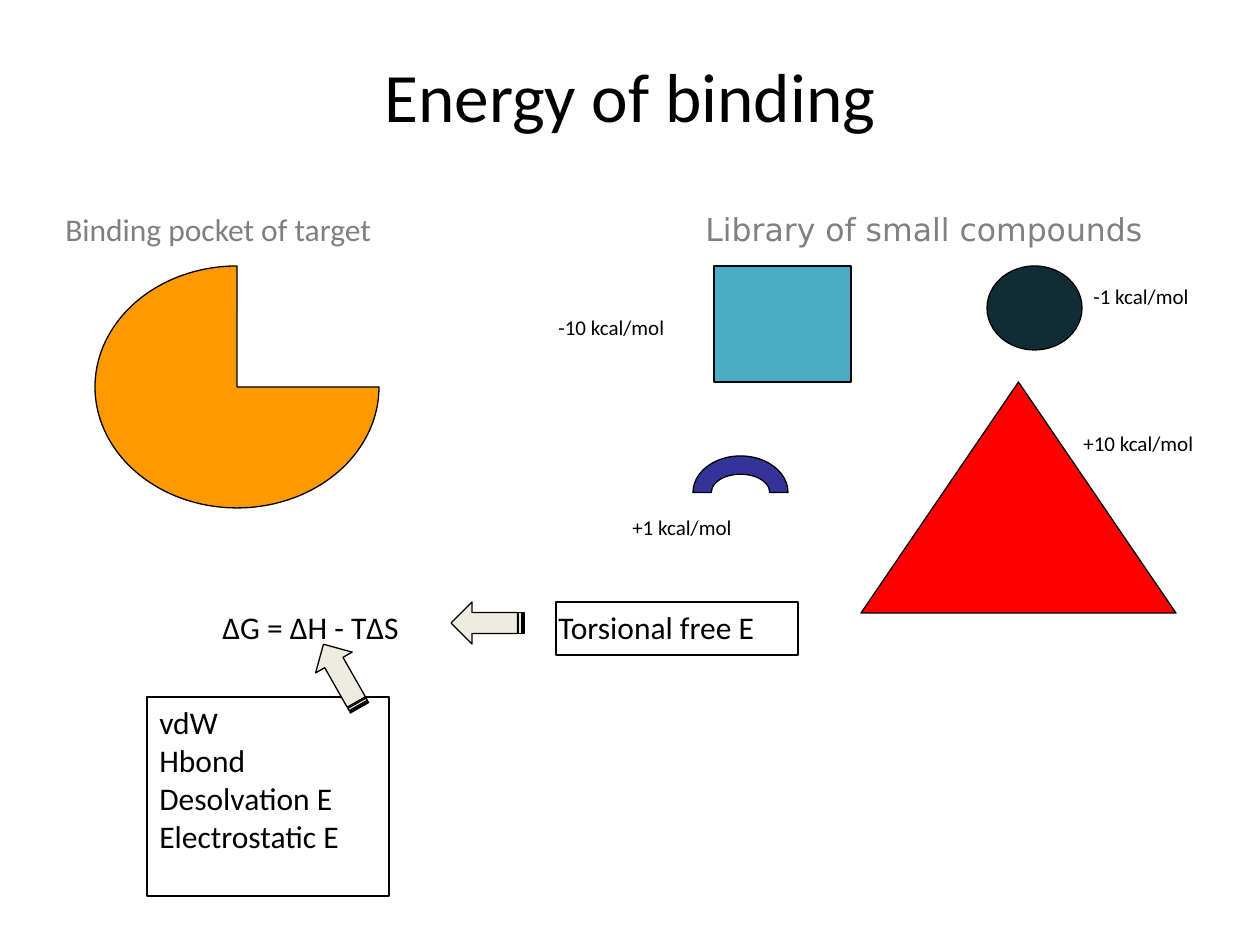
import pptx
import pptx.dml.color
import pptx.enum.shapes
import pptx.enum.text
import pptx.util

SCALE = 914400 / 126
SHAPES = pptx.enum.shapes.MSO_SHAPE
ALIGN = pptx.enum.text.PP_ALIGN
ANCHOR = pptx.enum.text.MSO_ANCHOR
BLACK = "000000"
CREAM = "EEECE1"


def emu(*pixels):
    return [pptx.util.Emu(round(value * SCALE)) for value in pixels]


def color(hex_string):
    return pptx.dml.color.RGBColor.from_string(hex_string)


def add_outlined(slide, kind, left, top, width, height, fill=None, rotation=0):
    """Add a black-outlined preset shape, hollow when no fill is given."""
    shape = slide.shapes.add_shape(kind, *emu(left, top, width, height))
    shape.shadow.inherit = False
    shape.rotation = rotation
    shape.line.color.rgb = color(BLACK)
    shape.line.width = pptx.util.Pt(0.75)
    if fill:
        shape.fill.solid()
        shape.fill.fore_color.rgb = color(fill)
    else:
        shape.fill.background()


def add_text(slide, text, left, top, width, height, size=18, ink=BLACK,
             font="Calibri", align=ALIGN.LEFT, anchor=ANCHOR.TOP):
    box = slide.shapes.add_textbox(*emu(left, top, width, height))
    frame = box.text_frame
    frame.word_wrap = True
    frame.vertical_anchor = anchor
    frame.text = text
    for paragraph in frame.paragraphs:
        paragraph.alignment = align
        for run in paragraph.runs:
            run.font.size = pptx.util.Pt(size)
            run.font.name = font
            run.font.color.rgb = color(ink)


def add_title(slide, left, top, width, height):
    add_text(slide, "Energy of binding", left, top, width, height, size=39.6,
             align=ALIGN.CENTER, anchor=ANCHOR.MIDDLE)


def add_target(slide, left, top):
    add_outlined(slide, SHAPES.PIE, left + 42, top + 62, 284, 242, "FF9900")
    add_text(slide, "Binding pocket of target", left, top, 420, 47, ink="7F7F7F")


def add_library(slide, left, top):
    """Place the compounds, each with its binding energy."""
    compounds = [
        (SHAPES.RECTANGLE, (168, 62, 137, 116), "4BACC6",
         "-10 kcal/mol", (0, 104, 179)),
        (SHAPES.OVAL, (441, 62, 95, 84), "102C34",
         "-1 kcal/mol", (535, 73, 179)),
        (SHAPES.ISOSCELES_TRIANGLE, (315, 178, 315, 231), "FF0000",
         "+10 kcal/mol", (525, 220, 189)),
        (SHAPES.BLOCK_ARC, (147, 252, 95, 73), "333399",
         "+1 kcal/mol", (74, 304, 179)),
    ]
    add_text(slide, "Library of small compounds", left + 147, top, 483, 47,
             ink="808080", font="DejaVu Sans")
    for kind, (x, y, width, height), fill, _, _ in compounds:
        add_outlined(slide, kind, left + x, top + y, width, height, fill)
    for _, _, _, energy, (x, y, width) in compounds:
        add_text(slide, energy, left + x, top + y, width, 38, size=12)


def add_free_energy(slide, left, top):
    """Place the equation with the enthalpy and entropy terms feeding it."""
    enthalpy_terms = ["vdW", "Hbond", "Desolvation E", "Electrostatic E"]
    add_text(slide, "ΔG = ΔH - TΔS", left + 63, top, 410, 47)
    add_text(slide, "\n".join(enthalpy_terms), left, top + 95, 242, 202)
    add_outlined(slide, SHAPES.RECTANGLE, left, top + 95, 242, 199)
    add_outlined(slide, SHAPES.STRIPED_RIGHT_ARROW, left + 158, top + 53,
                 73, 42, CREAM, 240.4)
    add_outlined(slide, SHAPES.RECTANGLE, left + 409, top, 242, 53)
    add_text(slide, "Torsional free E", left + 399, top, 262, 47)
    add_outlined(slide, SHAPES.STRIPED_RIGHT_ARROW, left + 304, top,
                 73, 42, CREAM, 180)


def main():
    presentation = pptx.Presentation()
    presentation.slide_width, presentation.slide_height = emu(1260, 945)
    slide = presentation.slides.add_slide(presentation.slide_layouts[6])
    add_title(slide, 63, 32, 1134, 126)
    add_target(slide, 53, 204)
    add_library(slide, 546, 204)
    add_free_energy(slide, 147, 602)
    presentation.save("out.pptx")


if __name__ == "__main__":
    main()
